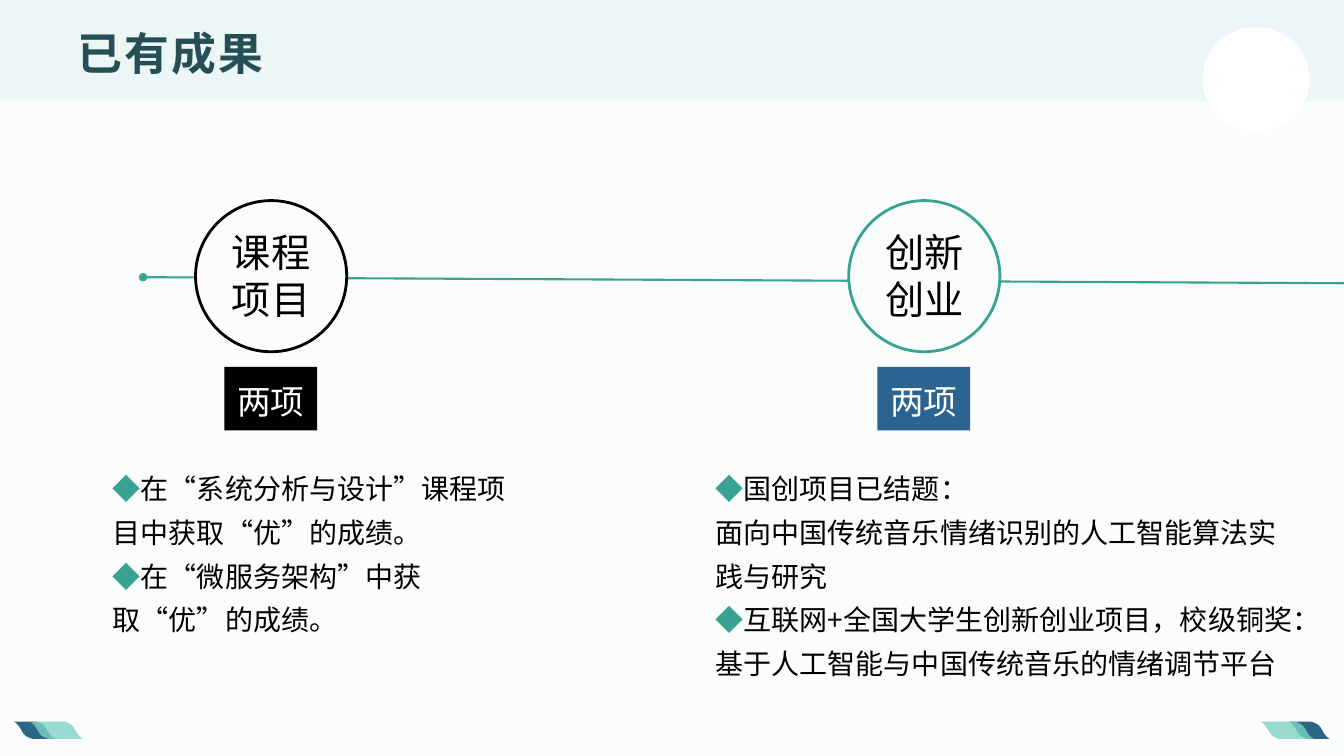
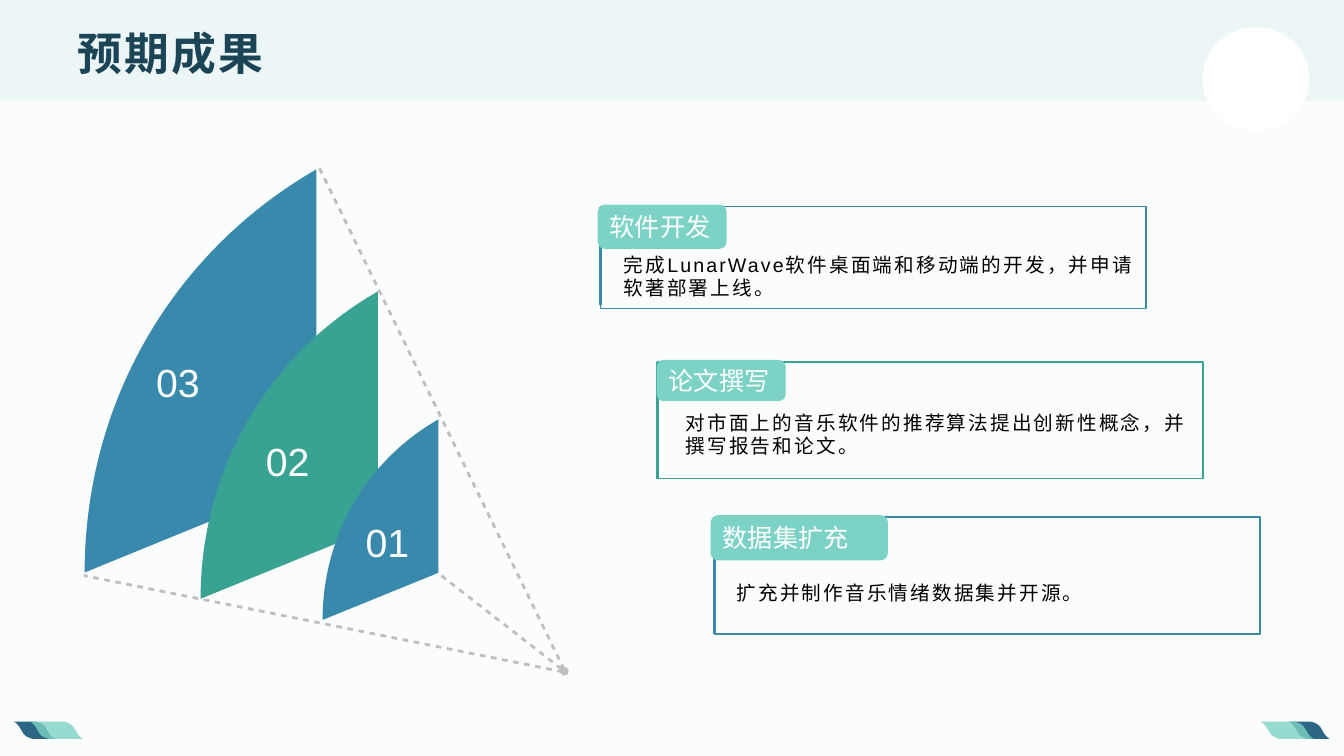
"""Build two slides on existing and expected results."""
from lxml.etree import SubElement
from pptx import Presentation
from pptx.dml.color import RGBColor
from pptx.enum.shapes import MSO_CONNECTOR, MSO_SHAPE as SHAPE
from pptx.enum.text import MSO_ANCHOR as ANCHOR, MSO_AUTO_SIZE, PP_ALIGN as ALIGN
from pptx.oxml.ns import qn
from pptx.util import Inches, Pt

C = {"bg": "FBFCFC", "band": "EDF6F7", "white": "FFFFFF", "black": "000000",
     "teal": "38A293", "blue": "3989AD", "navy": "2B6490", "leaf": "2B6782",
     "mint": "7DD2C6", "grey": "BFBFBF", "title1": "254F54", "title2": "1C4457"}
CJK = "Noto Sans CJK SC"
MARK = "◆"
WIDTH = 40 / 3


def rgb(name):
    """Return the palette colour with this name."""
    return RGBColor.from_string(C[name])


def write(tf, *paras, size=14, color="black", font="Arial", bold=False, spc=None,
          align=ALIGN.LEFT, anchor=ANCHOR.TOP, inset=(0.1, 0.05, 0.1, 0.05), spacing=None):
    """Fill a text frame, one paragraph per text, with a leading mark in teal."""
    tf.word_wrap = True
    tf.auto_size = MSO_AUTO_SIZE.NONE
    tf.vertical_anchor = anchor
    (tf.margin_left, tf.margin_top,
     tf.margin_right, tf.margin_bottom) = [Inches(v) for v in inset]
    for i, text in enumerate(paras):
        p = tf.add_paragraph() if i else tf.paragraphs[0]
        p.alignment = align
        if spacing:
            p.line_spacing = spacing
        runs = [(text, color)]
        if text.startswith(MARK):
            runs = [(MARK, "teal"), (text[len(MARK):], color)]
        for part, hue in runs:
            r = p.add_run()
            r.text = part
            r.font.size, r.font.bold = Pt(size), bold
            r.font.color.rgb = rgb(hue)
            r.font.name = font
            rPr = r.font._element
            SubElement(rPr, qn("a:ea")).set("typeface", CJK)
            if spc:
                rPr.set("spc", str(int(spc * 100)))


def paint(sp, fill=None, line=None, width=1, alpha=None):
    """Set the fill and outline of a shape and drop its shadow."""
    sp.shadow.inherit = False
    if fill:
        sp.fill.solid()
        sp.fill.fore_color.rgb = rgb(fill)
        if alpha:
            clr = sp.fill._xPr.find(qn("a:solidFill"))[0]
            SubElement(clr, qn("a:alpha")).set("val", str(alpha * 1000))
    else:
        sp.fill.background()
    if line:
        sp.line.color.rgb = rgb(line)
        sp.line.width = Pt(width)
    else:
        sp.line.fill.background()
    return sp


def add_dash(line):
    """Give a line short dashes with equal gaps."""
    ds = SubElement(SubElement(line._get_or_add_ln(), qn("a:custDash")), qn("a:ds"))
    ds.set("d", "200000")
    ds.set("sp", "200000")


def add_box(s, kind, x, y, w, h, **style):
    """Add a painted preset shape."""
    sp = s.shapes.add_shape(kind, Inches(x), Inches(y), Inches(w), Inches(h))
    return paint(sp, **style)


def add_text(s, x, y, w, h, *paras, **fmt):
    """Add a text box."""
    tb = s.shapes.add_textbox(Inches(x), Inches(y), Inches(w), Inches(h))
    write(tb.text_frame, *paras, **fmt)


def add_outline(s, start, *steps, close=True, **style):
    """Add a freeform whose steps hold one point for a line or three for a curve."""
    pts = [(Inches(x), Inches(y)) for step in steps for x, y in step]
    fb = s.shapes.build_freeform(Inches(start[0]), Inches(start[1]))
    fb.add_line_segments(pts, close=close)
    sp = fb.convert_to_shape()
    segments = iter(list(sp._element.iter(qn("a:lnTo"))))
    for step in steps:
        group = [next(segments) for _ in step]
        if len(group) == 3:
            group[0].tag = qn("a:cubicBezTo")
            for seg in group[1:]:
                group[0].append(seg[0])
                seg.getparent().remove(seg)
    return paint(sp, **style)


def add_line(s, start, end, color, width, oval=False, dashed=False):
    """Add a straight line, dashed or with an oval start if asked."""
    ends = [Inches(v) for v in (*start, *end)]
    ln = s.shapes.add_connector(MSO_CONNECTOR.STRAIGHT, *ends)
    ln.line.color.rgb = rgb(color)
    ln.line.width = Pt(width)
    if dashed:
        add_dash(ln.line)
    if oval:
        SubElement(ln.line._get_or_add_ln(), qn("a:headEnd")).set("type", "oval")
    SubElement(ln._element.spPr, qn("a:effectLst"))


def add_leaf(s, x, w, **style):
    """Add a footer leaf, symmetric about its centre."""
    y, h = 7.16, 0.17
    r = x + w
    half = [[(r - 0.18, y)],
            [(r - 0.12, y + 0.02), (r - 0.1, y + 0.03), (r - 0.07, y + 0.09)],
            [(r - 0.04, y + 0.15), (r, y + h), (r, y + h)]]
    turned = [[(x + r - px, 2 * y + h - py) for px, py in step] for step in half]
    add_outline(s, (x, y), *half, *turned, **style)


def add_frame(prs, title, color):
    """Add a slide with its band, title, badge and footer leaves."""
    s = prs.slides.add_slide(prs.slide_layouts[5])
    add_box(s, SHAPE.RECTANGLE, 0, 0, WIDTH, 1, fill="band")
    for dark, light in ((0.14, 0.3), (12.79, 12.51)):
        add_leaf(s, dark, 0.4, fill="leaf")
        add_leaf(s, light, 0.52, fill="mint", alpha=80)
    head = s.shapes.title
    head.left, head.top = Inches(0.67), Inches(0.17)
    head.width, head.height = Inches(12), Inches(0.67)
    write(head.text_frame, title, size=32, color=color, bold=True, spc=1.5,
          anchor=ANCHOR.BOTTOM)
    s.shapes._spTree.append(head._element)
    add_box(s, SHAPE.OVAL, 11.93, 0.27, 1.06, 1.03, fill="white")
    return s


def add_milestone(s, x, y, name, count, ring, tag):
    """Add a ringed name with its count tag below."""
    fmt = dict(font=CJK, align=ALIGN.CENTER, anchor=ANCHOR.MIDDLE)
    sp = add_box(s, SHAPE.OVAL, x, y, 1.5, 1.5, fill="bg", line=ring, width=2)
    write(sp.text_frame, name, size=28, inset=(0, 0, 0, 0.02), **fmt)
    sp = add_box(s, SHAPE.RECTANGLE, x + 0.285, y + 1.65, 0.92, 0.63, fill=tag)
    write(sp.text_frame, count, size=24, color="white", inset=(0, 0.04, 0, 0), **fmt)


def add_sail(s, x, y, w, h, number, label_dx, fill):
    """Add a sail inside the given box and return where its number goes."""
    unit = [[(1, 0.765)], [(0, 1)],
            [(0, 0.705), (0.19, 0.41), (0.58, 0.185)],
            [(0.71, 0.11), (0.85, 0.05), (1, 0)]]
    steps = [[(x + u * w, y + v * h) for u, v in step] for step in unit]
    add_outline(s, (x + w, y), *steps, fill=fill)
    return x + label_dx, y + 0.445 * h, 0.68, 0.62, number


def add_card(s, x, y, h, color, accent, tag, tag_box, text, text_at):
    """Add an outlined card with an accent edge, a tag and a text."""
    add_box(s, SHAPE.RECTANGLE, x, y, 5.41, h, line=color)
    add_line(s, (x, y), (x, y + accent), color, 2)
    add_text(s, x + text_at[0], y + text_at[1], 5.3, 0.86, text, spc=1.5,
             anchor=ANCHOR.MIDDLE)
    dx, w, th = tag_box
    sp = add_box(s, SHAPE.ROUNDED_RECTANGLE, x + dx, y - 0.02, w, th, fill="mint")
    write(sp.text_frame, tag, size=18, color="white", anchor=ANCHOR.MIDDLE)


def existing_results(prs):
    """Build the slide of existing results."""
    s = add_frame(prs, "已有成果", "title1")
    add_line(s, (1.42, 2.75), (WIDTH, 2.81), "teal", 1.5, oval=True)
    add_milestone(s, 1.94, 1.99, "课程项目", "两项", "black", "black")
    add_milestone(s, 8.42, 1.99, "创新创业", "两项", "teal", "navy")
    fmt = dict(size=20, font=CJK, inset=(0.05,) * 4, spacing=1.3)
    add_text(s, 1.07, 4.53, 4.24, 2.19,
             "◆在“系统分析与设计”课程项目中获取“优”的成绩。",
             "◆在“微服务架构”中获取“优”的成绩。", **fmt)
    add_text(s, 7.05, 4.53, 5.89, 2.29,
             "◆国创项目已结题：",
             "面向中国传统音乐情绪识别的人工智能算法实践与研究",
             "◆互联网+全国大学生创新创业项目，校级铜奖：基于人工智能与中国传统音乐的情绪调节平台",
             **fmt)


def expected_results(prs):
    """Build the slide of expected results."""
    s = add_frame(prs, "预期成果", "title2")
    rays = add_outline(s, (3.17, 1.67), [(5.61, 6.67)], [(0.83, 5.71)], close=False,
                       line="grey", width=2)
    add_dash(rays.line)
    add_line(s, (5.6, 6.66), (1.43, 3.42), "grey", 2, oval=True, dashed=True)
    sails = [(0.84, 1.68, 2.3, 4, "03", 0.61, "blue"),
             (1.99, 2.89, 1.76, 3.05, "02", 0.55, "teal"),
             (3.2, 4.16, 1.15, 1.99, "01", 0.33, "blue")]
    for label in [add_sail(s, *sail) for sail in sails]:
        add_text(s, *label, size=28, color="white", spacing=1.1)
    cards = [(1.01, "blue", 0.98, "软件开发", (-0.03, 1.28, 0.44),
              "完成LunarWave软件桌面端和移动端的开发，并申请软著部署上线。", (0.13, 0.26)),
             (1.16, "teal", 1.16, "论文撰写", (-0.01, 1.28, 0.41),
              "对市面上的音乐软件的推荐算法提出创新性概念，并撰写报告和论文。", (0.18, 0.29)),
             (1.16, "blue", 1.16, "数据集扩充", (-0.04, 1.76, 0.45),
              "扩充并制作音乐情绪数据集并开源。", (0.12, 0.32))]
    for i, card in enumerate(cards):
        add_card(s, 5.96 + 0.565 * i, 2.05 + 1.54 * i, *card)


def main():
    """Build and save the presentation."""
    prs = Presentation()
    prs.slide_width, prs.slide_height = Inches(WIDTH), Inches(7.5)
    fill = prs.slide_master.background.fill
    fill.solid()
    fill.fore_color.rgb = rgb("bg")
    existing_results(prs)
    expected_results(prs)
    prs.save("out.pptx")


if __name__ == "__main__":
    main()
